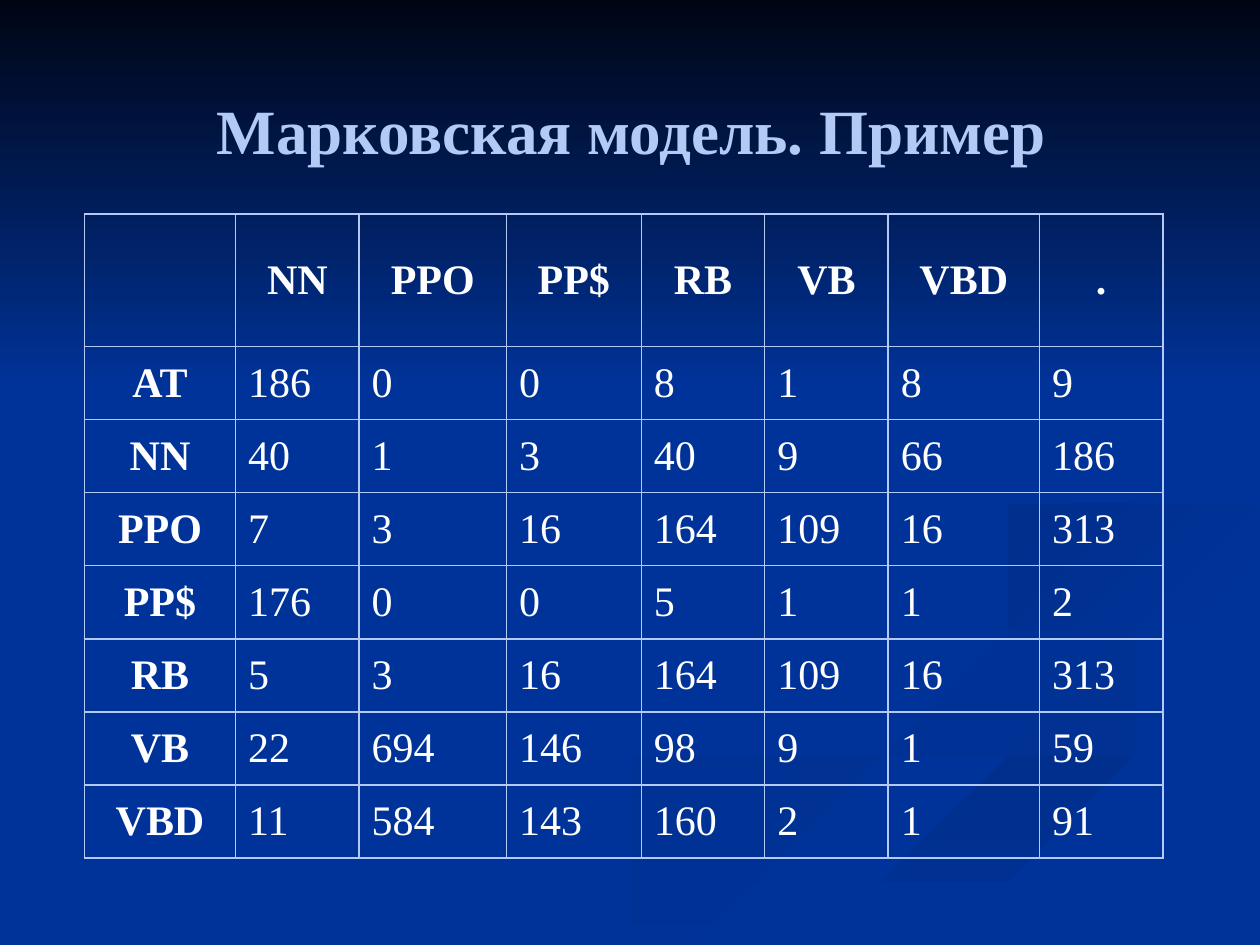
import pptx
import pptx.dml.color
import pptx.enum.shapes
import pptx.enum.text
import pptx.oxml
import pptx.oxml.ns
import pptx.util

Inches = pptx.util.Inches
Pt = pptx.util.Pt
RGBColor = pptx.dml.color.RGBColor
PP_ALIGN = pptx.enum.text.PP_ALIGN
MIDDLE = pptx.enum.text.MSO_ANCHOR.MIDDLE

FONT = "Times New Roman"
BLUE = RGBColor(0x00, 0x33, 0x99)
NIGHT = RGBColor(0x00, 0x05, 0x14)
DEEP = RGBColor(0x00, 0x2F, 0x8D)
SHADE = RGBColor(0x00, 0x31, 0x93)
PALE = RGBColor(0xB4, 0xCA, 0xF6)
WHITE = RGBColor(0xFF, 0xFF, 0xFF)

WIDTH, HEIGHT = 10, 7.5
CURVE_STEPS = 5

# Ribbons, back to front: start colour, end colour, clockwise angle, key points
RIBBONS = [
    (BLUE, SHADE, 0, [
        (5.75, 4.59), (5.72, 4.76), (6.31, 5.05), (7.41, 5.39), (7.86, 5.66),
        (7.39, 5.98), (4.99, 6.61), (3, 7.49), (3.61, 7.49), (5.64, 6.65),
        (7.69, 6.09), (8, 5.81), (7.57, 5.43), (6.14, 4.96)]),
    (BLUE, SHADE, 45, [
        (7.24, 4.64), (7.66, 5.12), (8.92, 5.53), (9.18, 5.81), (8.94, 6.05),
        (9.41, 5.81), (9.05, 5.4), (7.58, 4.98)]),
    (DEEP, BLUE, 90, [
        (5.03, 7.49), (5.71, 7.49), (7.22, 6.82), (9.98, 6.09), (9.98, 5.81),
        (7.8, 6.42), (6.3, 6.93)]),
    (DEEP, BLUE, 45, [
        (7.81, 4.6), (8.26, 4.96), (8.05, 4.72), (8.43, 4.48), (9.98, 4.2),
        (9.98, 4.02), (8.65, 4.24), (7.99, 4.42)]),
    (DEEP, BLUE, 45, [
        (6.22, 5), (5.77, 4.62), (6.49, 4.2), (8.18, 3.86), (8.89, 3.35),
        (8.46, 2.79), (7.62, 2.33), (8.64, 2.91), (8.94, 3.44), (8.25, 4.02),
        (6.49, 4.36), (5.93, 4.7)]),
]

# Tag transition counts
TAGS = ["", "NN", "PPO", "PP$", "RB", "VB", "VBD", "."]
COUNTS = [
    ["AT", 186, 0, 0, 8, 1, 8, 9],
    ["NN", 40, 1, 3, 40, 9, 66, 186],
    ["PPO", 7, 3, 16, 164, 109, 16, 313],
    ["PP$", 176, 0, 0, 5, 1, 1, 2],
    ["RB", 5, 3, 16, 164, 109, 16, 313],
    ["VB", 22, 694, 146, 98, 9, 1, 59],
    ["VBD", 11, 584, 143, 160, 2, 1, 91],
]
COLUMN_WIDTHS = [1.2, 0.98, 1.17, 1.07, 0.98, 0.98, 1.2, 0.98]
ROW_HEIGHTS = [1.05] + [0.58] * len(COUNTS)


def spline(a, b, c, d, t):
    """Catmull-Rom value between b and c."""
    return b + t / 2 * (c - a + t * (2 * a - 5 * b + 4 * c - d
                                     + t * (3 * (b - c) + d - a)))


def smooth_outline(points):
    """Round a closed outline, kept within the slide."""
    outline = []
    for i in range(len(points)):
        around = [points[(i + k) % len(points)] for k in range(-1, 3)]
        xs, ys = zip(*around)
        for step in range(CURVE_STEPS):
            t = step / CURVE_STEPS
            outline.append((min(spline(*xs, t), WIDTH),
                            min(spline(*ys, t), HEIGHT)))
    return outline


def paint_gradient(sp, start, end, angle):
    sp.shadow.inherit = False
    sp.line.fill.background()
    sp.fill.gradient()
    sp.fill.gradient_angle = (360 - angle) % 360
    for stop, color in zip(sp.fill.gradient_stops, (start, end)):
        stop.color.rgb = color


def add_ribbon(s, start, end, angle, points):
    outline = smooth_outline(points)
    builder = s.shapes.build_freeform(*outline[0], scale=Inches(1))
    builder.add_line_segments(outline[1:], close=True)
    paint_gradient(builder.convert_to_shape(), start, end, angle)


def add_banner(s):
    sp = s.shapes.add_shape(pptx.enum.shapes.MSO_SHAPE.RECTANGLE,
                            0, 0, Inches(WIDTH), Inches(3.08))
    paint_gradient(sp, NIGHT, BLUE, 90)


def format_paragraph(p, size, color, bold, align):
    p.alignment = align
    for r in p.runs:
        r.font.name = FONT
        r.font.size = Pt(size)
        r.font.bold = bold
        r.font.color.rgb = color


def set_title(s, text):
    sp = s.shapes.title
    sp.left, sp.top, sp.width, sp.height = map(Inches, (0.51, 0.28, 9, 1.49))
    tf = sp.text_frame
    tf.text = text
    tf.vertical_anchor = MIDDLE
    format_paragraph(tf.paragraphs[0], 36, PALE, True, PP_ALIGN.CENTER)
    # Bring the title in front of the banner
    s.shapes._spTree.append(sp._element)


def set_borders(cell):
    tcPr = cell._tc.get_or_add_tcPr()
    for i, side in enumerate(("lnL", "lnR", "lnT", "lnB")):
        tcPr.insert(i, pptx.oxml.parse_xml(
            f'<a:{side} {pptx.oxml.ns.nsdecls("a")} w="{Pt(1)}"><a:solidFill>'
            f'<a:srgbClr val="{PALE}"/></a:solidFill></a:{side}>'))


def add_count_table(s):
    rows = [TAGS] + COUNTS
    table = s.shapes.add_table(
        len(rows), len(TAGS), Inches(0.67), Inches(1.7),
        Inches(sum(COLUMN_WIDTHS)), Inches(sum(ROW_HEIGHTS))).table
    table.first_row = table.horz_banding = False
    for column, width in zip(table.columns, COLUMN_WIDTHS):
        column.width = Inches(width)
    for i, (values, height) in enumerate(zip(rows, ROW_HEIGHTS)):
        table.rows[i].height = Inches(height)
        for j, value in enumerate(values):
            cell = table.cell(i, j)
            heading = i == 0 or j == 0
            cell.text = str(value)
            cell.vertical_anchor = MIDDLE
            cell.fill.background()
            set_borders(cell)
            format_paragraph(cell.text_frame.paragraphs[0], 24, WHITE, heading,
                             PP_ALIGN.CENTER if heading else PP_ALIGN.LEFT)


def main():
    prs = pptx.Presentation()
    prs.slide_width, prs.slide_height = Inches(WIDTH), Inches(HEIGHT)
    s = prs.slides.add_slide(prs.slide_layouts[5])
    s.background.fill.solid()
    s.background.fill.fore_color.rgb = BLUE
    for ribbon in RIBBONS:
        add_ribbon(s, *ribbon)
    add_banner(s)
    add_count_table(s)
    set_title(s, "Марковская модель. Пример")
    prs.save("out.pptx")


if __name__ == "__main__":
    main()
